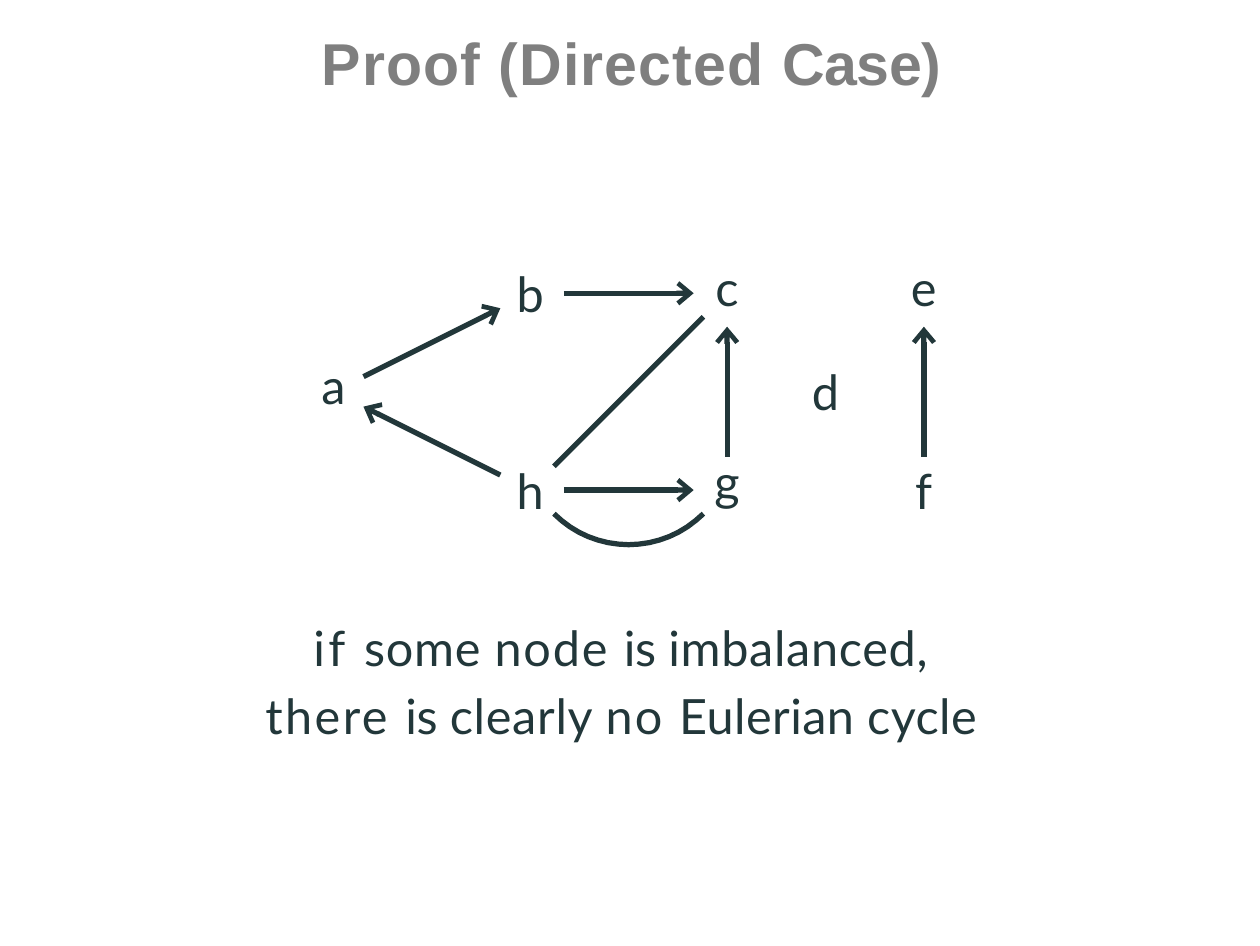
from math import cos, hypot, pi, sin
from lxml.etree import SubElement
from pptx import Presentation
from pptx.dml.color import RGBColor
from pptx.enum.shapes import MSO_CONNECTOR as Conn
from pptx.enum.text import MSO_ANCHOR as Anchor, MSO_AUTO_SIZE as Fit, PP_ALIGN as Align
from pptx.oxml.ns import qn
from pptx.util import Cm, Pt

GREY = RGBColor(0x7F, 0x7F, 0x7F)
INK = RGBColor(0x22, 0x37, 0x3A)

STEP = 1
GAP = 0.34
LOW, MID, HIGH = 0.44, 0.41, 0.35

NODES = {
    "a": (0, 1, MID), "b": (2, 0, HIGH), "c": (4, 0, MID), "d": (5, 1, HIGH),
    "e": (6, 0, MID), "f": (6, 2, HIGH), "g": (4, 2, LOW), "h": (2, 2, HIGH),
}
EDGES = [("ab", True), ("bc", True), ("ch", False), ("ha", True),
         ("hg", True), ("gc", True), ("fe", True)]
TITLE = [[("Proof (Directed ", 0.3), ("Case)", -0.2)]]
CLAIM = [
    [("if ", 1), ("some ", 0.2), ("node ", 0.5), ("is ", -0.1), ("imbalanced,", 0.2)],
    [("there ", 0.7), ("is ", -0.1), ("clearly ", 0.2), ("no ", 0.6),
     ("Eulerian cycle", 0.1)],
]


def set_frame(frame, wrap):
    """Strip the margins of a text frame and pin its text to the top."""
    frame.margin_left = frame.margin_right = frame.margin_bottom = 0
    frame.margin_top = Cm(0.05)
    frame.word_wrap = wrap
    frame.auto_size = Fit.NONE
    frame.vertical_anchor = Anchor.TOP


def set_font(para, name, size, color, bold=False):
    """Set the font of a whole paragraph."""
    font = para.font
    font.name, font.size, font.bold = name, Pt(size), bold
    font.color.rgb = color


def add_runs(para, lines):
    """Write lines of tracked, unkerned runs into one paragraph."""
    for i, line in enumerate(lines):
        if i:
            para.add_line_break()
        for text, track in line:
            run = para.add_run()
            run.text = text
            props = run.font._element
            props.set("spc", str(round(track * 100)))
            props.set("kern", "0")


def add_title(slide, x, y, w, h):
    """Place the slide title in the given box."""
    title = slide.shapes.title
    title.left, title.top, title.width, title.height = map(Cm, (x, y, w, h))
    set_frame(title.text_frame, False)
    para = title.text_frame.paragraphs[0]
    add_runs(para, TITLE)
    para.alignment = Align.LEFT
    set_font(para, "Arial", 17, GREY, True)


def add_node(slide, name, x, y, rise):
    """Centre a node letter on a point of the graph."""
    box = slide.shapes.add_textbox(Cm(x - 0.2), Cm(y - rise), Cm(0.4), Cm(0.69))
    set_frame(box.text_frame, False)
    para = box.text_frame.paragraphs[0]
    para.text = name
    para.alignment = Align.CENTER
    set_font(para, "Lato", 14, INK)


def add_edge(slide, start, end, arrow):
    """Draw a straight edge that stops short of both nodes."""
    (x1, y1), (x2, y2) = start, end
    size = hypot(x2 - x1, y2 - y1)
    dx, dy = GAP * (x2 - x1) / size, GAP * (y2 - y1) / size
    edge = slide.shapes.add_connector(
        Conn.STRAIGHT, Cm(x1 + dx), Cm(y1 + dy), Cm(x2 - dx), Cm(y2 - dy))
    edge.line.color.rgb = INK
    edge.line.width = Pt(1.5)
    if arrow:
        SubElement(edge.line._get_or_add_ln(), qn("a:tailEnd"),
                   type="arrow", w="med", len="sm")
    SubElement(edge._element.spPr, qn("a:effectLst"))


def add_bend(slide, start, end):
    """Draw a quarter circle that hangs below two nodes of one row."""
    inset = GAP * sin(pi / 4)
    half = (end[0] - start[0]) / 2 - inset
    radius = half / sin(pi / 4)
    mid, top = (start[0] + end[0]) / 2, start[1] + inset - half
    turns = [pi / 4 + pi / 2 * i / 16 for i in range(17)]
    dots = [(Cm(mid + radius * cos(t)), Cm(top + radius * sin(t))) for t in turns]
    pen = slide.shapes.build_freeform(*dots[0])
    pen.add_line_segments(dots[1:], close=False)
    bend = pen.convert_to_shape()
    bend.fill.background()
    bend.line.color.rgb = INK
    bend.line.width = Pt(1.5)
    bend.shadow.inherit = False


def add_graph(slide, x, y):
    """Draw the directed graph from its top left grid point."""
    spots = {name: (x + col * STEP, y + row * STEP)
             for name, (col, row, _) in NODES.items()}
    for name, (_, _, rise) in NODES.items():
        add_node(slide, name, *spots[name], rise)
    for (start, end), arrow in EDGES:
        add_edge(slide, spots[start], spots[end], arrow)
    add_bend(slide, spots["h"], spots["g"])


def add_claim(slide, x, y, w, h):
    """Place the centred claim in the given box."""
    box = slide.shapes.add_textbox(*map(Cm, (x, y, w, h)))
    set_frame(box.text_frame, True)
    para = box.text_frame.paragraphs[0]
    add_runs(para, CLAIM)
    para.alignment = Align.CENTER
    para.line_spacing = 1.16
    set_font(para, "Lato", 14, INK)


def main():
    """Build and save the slide."""
    deck = Presentation()
    deck.slide_width = Pt(363)
    deck.slide_height = Pt(272.5)
    slide = deck.slides.add_slide(deck.slide_layouts[5])
    add_title(slide, 3.27, 0.22, 6.32, 0.81)
    add_graph(slide, 3.39, 2.98)
    add_claim(slide, 2.49, 6.14, 7.65, 1.45)
    deck.save("out.pptx")


if __name__ == "__main__":
    main()
